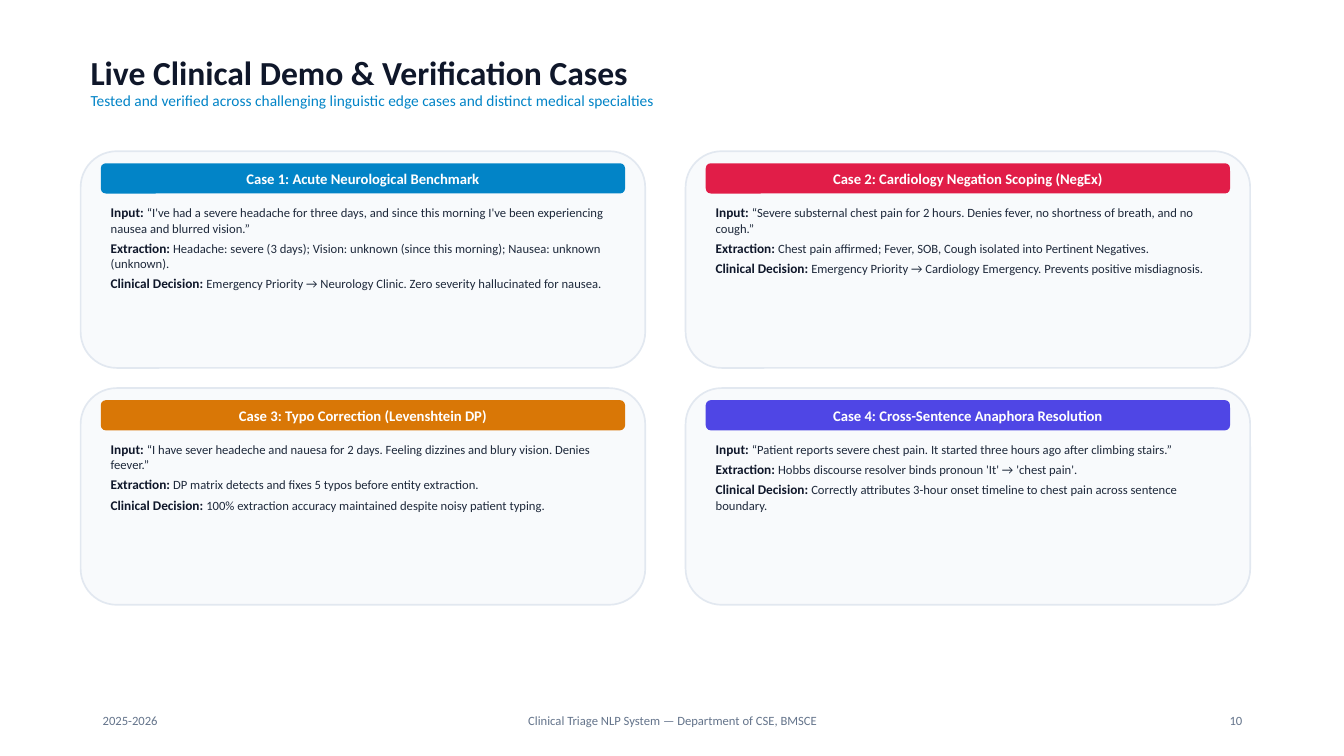
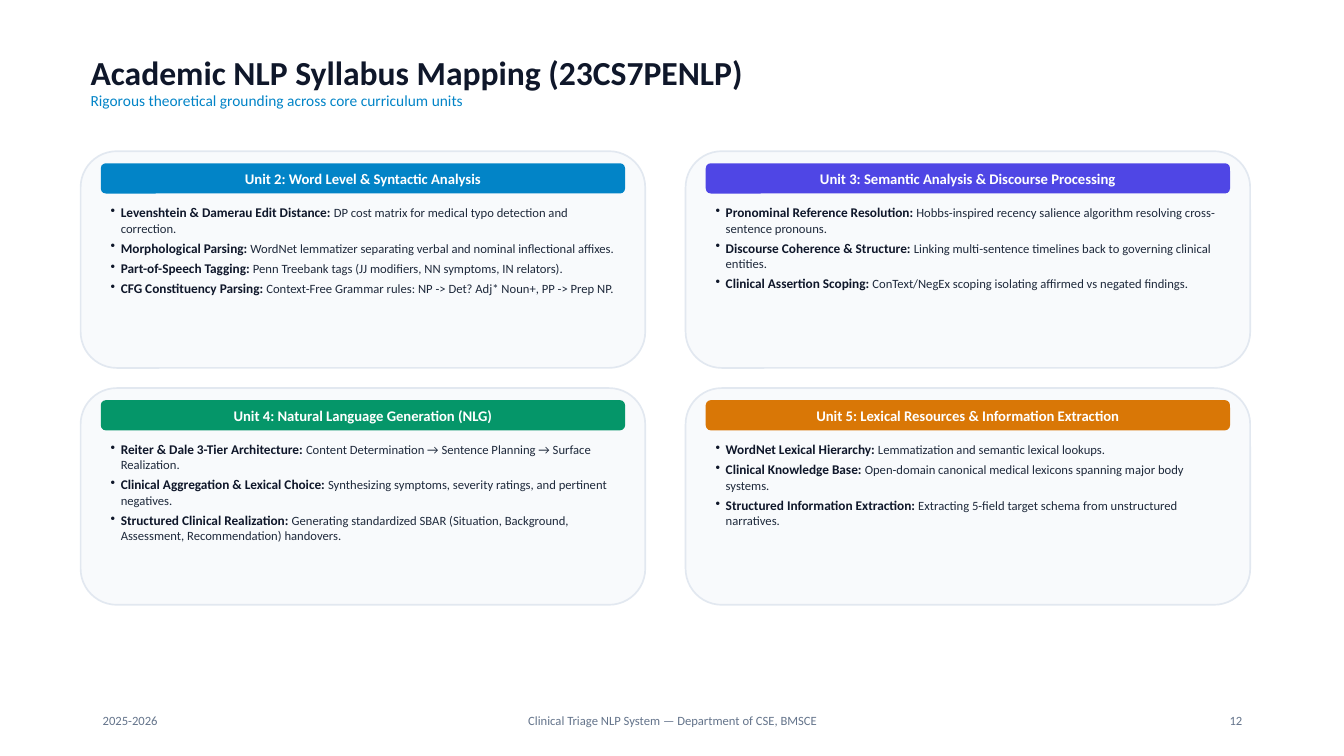
from dataclasses import dataclass

from lxml import etree
from pptx import Presentation
from pptx import util as u
from pptx.dml import color
from pptx.enum import shapes, text
from pptx.oxml import ns

PX = 9144
LEFT, MID, RIGHT = text.PP_ALIGN.LEFT, text.PP_ALIGN.CENTER, text.PP_ALIGN.RIGHT


@dataclass(frozen=True)
class Theme:
    face: str = "Calibri"
    ink: str = "0F172A"
    body: str = "1E293B"
    mute: str = "64748B"
    white: str = "FFFFFF"
    card: str = "F8FAFC"
    edge: str = "E2E8F0"
    blue: str = "0284C7"
    red: str = "E11D48"
    amber: str = "D97706"
    indigo: str = "4F46E5"
    green: str = "059669"
    title: float = 24
    sub: float = 11
    head: float = 10.5
    label: float = 9.5
    small: float = 9


T = Theme()

CASES = [
    ("Case 1: Acute Neurological Benchmark", T.blue, [
        ("Input: ", "“I've had a severe headache for three days, and since this morning I've been experiencing nausea and blurred vision.”"),
        ("Extraction: ", "Headache: severe (3 days); Vision: unknown (since this morning); Nausea: unknown (unknown)."),
        ("Clinical Decision: ", "Emergency Priority → Neurology Clinic. Zero severity hallucinated for nausea."),
    ]),
    ("Case 2: Cardiology Negation Scoping (NegEx)", T.red, [
        ("Input: ", "“Severe substernal chest pain for 2 hours. Denies fever, no shortness of breath, and no cough.”"),
        ("Extraction: ", "Chest pain affirmed; Fever, SOB, Cough isolated into Pertinent Negatives."),
        ("Clinical Decision: ", "Emergency Priority → Cardiology Emergency. Prevents positive misdiagnosis."),
    ]),
    ("Case 3: Typo Correction (Levenshtein DP)", T.amber, [
        ("Input: ", "“I have sever headeche and nauesa for 2 days. Feeling dizzines and blury vision. Denies feever.”"),
        ("Extraction: ", "DP matrix detects and fixes 5 typos before entity extraction."),
        ("Clinical Decision: ", "100% extraction accuracy maintained despite noisy patient typing."),
    ]),
    ("Case 4: Cross-Sentence Anaphora Resolution", T.indigo, [
        ("Input: ", "“Patient reports severe chest pain. It started three hours ago after climbing stairs.”"),
        ("Extraction: ", "Hobbs discourse resolver binds pronoun 'It' → 'chest pain'."),
        ("Clinical Decision: ", "Correctly attributes 3-hour onset timeline to chest pain across sentence boundary."),
    ]),
]

UNITS = [
    ("Unit 2: Word Level & Syntactic Analysis", T.blue, [
        ("Levenshtein & Damerau Edit Distance: ", "DP cost matrix for medical typo detection and correction."),
        ("Morphological Parsing: ", "WordNet lemmatizer separating verbal and nominal inflectional affixes."),
        ("Part-of-Speech Tagging: ", "Penn Treebank tags (JJ modifiers, NN symptoms, IN relators)."),
        ("CFG Constituency Parsing: ", "Context-Free Grammar rules: NP -> Det? Adj* Noun+, PP -> Prep NP."),
    ]),
    ("Unit 3: Semantic Analysis & Discourse Processing", T.indigo, [
        ("Pronominal Reference Resolution: ", "Hobbs-inspired recency salience algorithm resolving cross-sentence pronouns."),
        ("Discourse Coherence & Structure: ", "Linking multi-sentence timelines back to governing clinical entities."),
        ("Clinical Assertion Scoping: ", "ConText/NegEx scoping isolating affirmed vs negated findings."),
    ]),
    ("Unit 4: Natural Language Generation (NLG)", T.green, [
        ("Reiter & Dale 3-Tier Architecture: ", "Content Determination → Sentence Planning → Surface Realization."),
        ("Clinical Aggregation & Lexical Choice: ", "Synthesizing symptoms, severity ratings, and pertinent negatives."),
        ("Structured Clinical Realization: ", "Generating standardized SBAR (Situation, Background, Assessment, Recommendation) handovers."),
    ]),
    ("Unit 5: Lexical Resources & Information Extraction", T.amber, [
        ("WordNet Lexical Hierarchy: ", "Lemmatization and semantic lexical lookups."),
        ("Clinical Knowledge Base: ", "Open-domain canonical medical lexicons spanning major body systems."),
        ("Structured Information Extraction: ", "Extracting 5-field target schema from unstructured narratives."),
    ]),
]


def rgb(tone):
    return color.RGBColor.from_string(tone)


def style(font, size, tone, bold=False):
    font.size = u.Pt(size)
    font.color.rgb = rgb(tone)
    font.bold = bold


def write(para, words, size, tone, bold=False, align=LEFT):
    para.text = words
    para.alignment = align
    para.font.name = T.face
    style(para.font, size, tone, bold)


def frame(slide, x, y, w, h, anchor=text.MSO_ANCHOR.MIDDLE):
    box = slide.shapes.add_textbox(x * PX, y * PX, w * PX, h * PX).text_frame
    box.word_wrap = True
    box.vertical_anchor = anchor
    return box


def panel(slide, x, y, w, h, fill, edge=None):
    shape = slide.shapes.add_shape(
        shapes.MSO_SHAPE.ROUNDED_RECTANGLE, x * PX, y * PX, w * PX, h * PX)
    shape.shadow.inherit = False
    shape.fill.solid()
    shape.fill.fore_color.rgb = rgb(fill)
    if edge:
        shape.line.color.rgb = rgb(edge)
        shape.line.width = u.Pt(1.2)
    else:
        shape.line.fill.background()
    return shape


def bullet(para):
    props = para._p.get_or_add_pPr()
    props.set("marL", str(10 * PX))
    props.set("indent", str(-10 * PX))
    etree.SubElement(props, ns.qn("a:buChar")).set("char", "•")


def points(box, items, dots):
    for i, (label, words) in enumerate(items):
        para = box.add_paragraph() if i else box.paragraphs[0]
        if dots:
            bullet(para)
        if i:
            para.space_before = u.Pt(3)
        para.font.name = T.face
        for part, size, tone, bold in ((label, T.label, T.ink, True),
                                       (words, T.small, T.body, False)):
            run = para.add_run()
            run.text = part
            style(run.font, size, tone, bold)


def card(slide, x, y, head, tone, items, dots):
    panel(slide, x, y, 560, 215, T.card, T.edge)
    pill = panel(slide, x + 20, y + 12, 520, 30, tone).text_frame
    pill.word_wrap = False
    pill.vertical_anchor = text.MSO_ANCHOR.MIDDLE
    write(pill.paragraphs[0], head, T.head, T.white, True, MID)
    points(frame(slide, x + 20, y + 48, 520, 160, text.MSO_ANCHOR.TOP), items, dots)


def header(slide, title, sub):
    box = frame(slide, 80, 35, 1020, 95)
    write(box.paragraphs[0], title, T.title, T.ink, True)
    write(box.add_paragraph(), sub, T.sub, T.blue)
    for para in box.paragraphs:
        para.line_spacing = 0.9


def footer(slide, page):
    for x, w, words, align in (
            (92, 300, "2025-2026", LEFT),
            (442, 450, "Clinical Triage NLP System — Department of CSE, BMSCE", MID),
            (942, 300, page, RIGHT)):
        box = frame(slide, x, 695, w, 40)
        write(box.paragraphs[0], words, T.small, T.mute, align=align)


def build(deck, title, sub, cards, page, dots=False):
    slide = deck.slides.add_slide(deck.slide_layouts[6])
    header(slide, title, sub)
    for i, (head, tone, items) in enumerate(cards):
        row, col = divmod(i, 2)
        card(slide, 80 + col * 600, 150 + row * 235, head, tone, items, dots)
    footer(slide, page)


def main():
    deck = Presentation()
    deck.slide_width, deck.slide_height = 1333 * PX, 750 * PX
    build(deck, "Live Clinical Demo & Verification Cases",
          "Tested and verified across challenging linguistic edge cases and distinct medical specialties",
          CASES, "10")
    build(deck, "Academic NLP Syllabus Mapping (23CS7PENLP)",
          "Rigorous theoretical grounding across core curriculum units",
          UNITS, "12", dots=True)
    deck.save("out.pptx")


if __name__ == "__main__":
    main()
